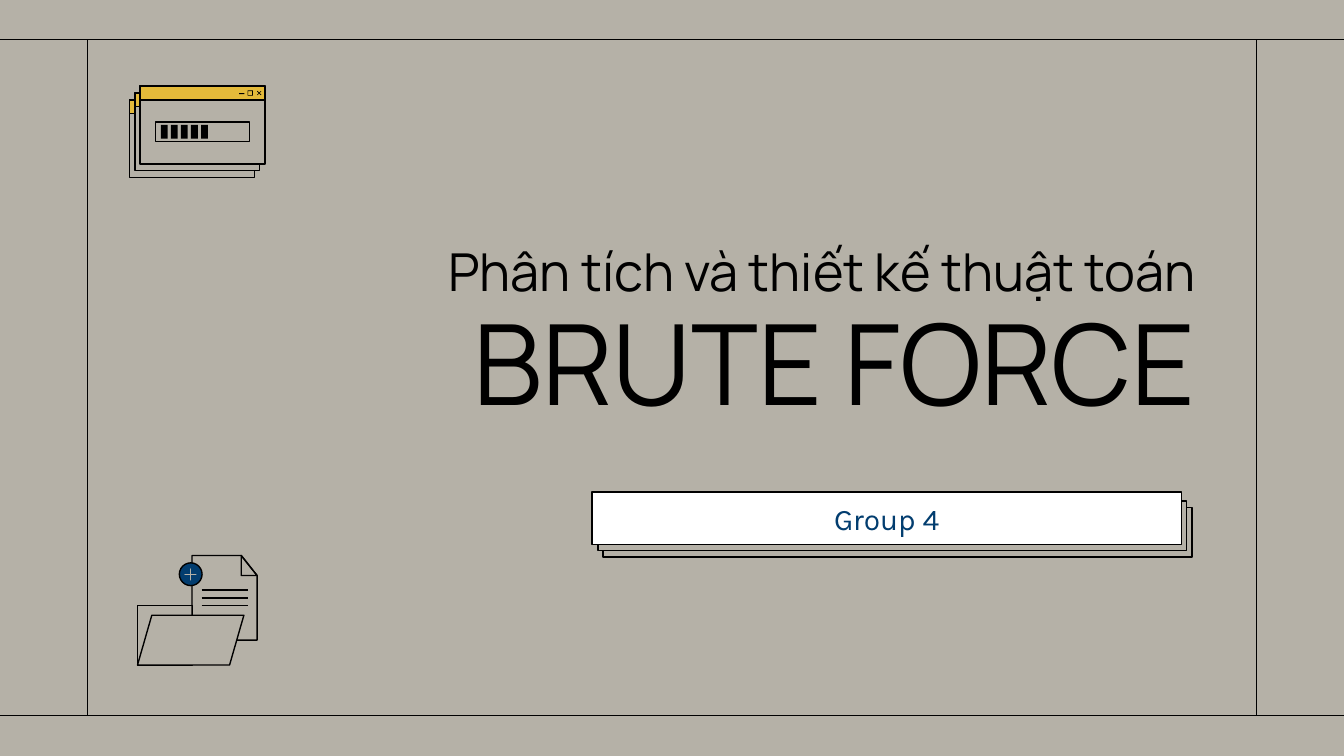
from dataclasses import dataclass

from lxml import etree
from pptx import Presentation
from pptx.dml.color import RGBColor
from pptx.enum import shapes, text
from pptx.oxml import ns
from pptx.util import Cm, Pt


@dataclass(frozen=True)
class Theme:
    paper: str = "B5B1A7"
    ink: str = "000000"
    white: str = "FFFFFF"
    navy: str = "023D6F"
    gold: str = "E4BA3A"
    display: str = "Manrope"
    body: str = "Karla"
    topic_size: int = 28
    title_size: int = 60
    team_size: int = 16
    stroke: float = 0.75


theme = Theme()
preset = shapes.MSO_SHAPE
align = text.PP_ALIGN

WIDTH, HEIGHT = 25.4, 14.29
TOPIC = ("Phân tích và thiết kế thuật toán", (4.31, 3.7, 18.53, 2.84))
TITLE = ("BRUTE FORCE", (3.94, 5.64, 18.9, 2.36))
TEAM = ("Group 4", (11.19, 9.3, 11.14, 0.99))
FRAME_X, FRAME_Y = (1.65, 23.75), (0.75, 13.53)
PLATES = [((11.4, 9.59, 11.13, 0.94), None), ((11.3, 9.47, 11.13, 0.94), theme.paper)]

FOLDER_BACK = (2.6, 11.45, 1.04, 1.12)
PAGE = [(3.63, 10.5), (3.63, 12.1), (4.86, 12.1), (4.86, 10.88), (4.56, 10.5)]
PAGE_CORNER = [(4.56, 10.5), (4.56, 10.88), (4.86, 10.88)]
FOLDER_FRONT = [(2.87, 11.63), (2.6, 12.57), (4.34, 12.57), (4.61, 11.63)]
PAGE_LINES = [11.15, 11.3, 11.45]
BADGE, PLUS = (3.39, 10.64, 0.43, 0.43), (3.46, 10.72, 0.28, 0.28)

WINDOW_COUNT, WINDOW_START, WINDOW_STEP = 3, (2.45, 1.89), (0.1, -0.13)
WINDOW_SIZE, BAR_HEIGHT = (2.36, 1.47), 0.26
CROSS = [(0, .1), (.1, 0), (.5, .4), (.9, 0), (1, .1), (.6, .5),
         (1, .9), (.9, 1), (.5, .6), (.1, 1), (0, .9), (.4, .5)]
CROSS_SIZE = 0.08
PROGRESS = (2.94, 2.31, 1.78, 0.37)
BLOCK_COUNT, BLOCK_PITCH, BLOCK = 5, 0.19, (3.04, 2.36, 0.13, 0.26)


def style(item, fill, line):
    item.shadow.inherit = False
    if fill:
        item.fill.solid()
        item.fill.fore_color.rgb = RGBColor.from_string(fill)
    else:
        item.fill.background()
    if line:
        item.line.color.rgb = RGBColor.from_string(line)
        item.line.width = Pt(theme.stroke)
    else:
        item.line.fill.background()
    return item


def draw(canvas, box, kind=preset.RECTANGLE, fill=None, line=theme.ink):
    return style(canvas.add_shape(kind, *map(Cm, box)), fill, line)


def outline(canvas, points, fill=None, line=theme.ink):
    corners = [(Cm(x), Cm(y)) for x, y in points]
    builder = canvas.build_freeform(*corners[0])
    builder.add_line_segments(corners[1:], close=True)
    return style(builder.convert_to_shape(), fill, line)


def rule(canvas, *ends):
    stroke = canvas.add_connector(shapes.MSO_CONNECTOR.STRAIGHT, *map(Cm, ends))
    stroke.line.color.rgb = RGBColor.from_string(theme.ink)
    stroke.line.width = Pt(theme.stroke)
    etree.SubElement(stroke._element.spPr, ns.qn("a:effectLst"))


def write(holder, words, font=theme.display, size=12, color=theme.ink, alignment=align.RIGHT):
    frame = holder.text_frame
    frame.word_wrap = True
    frame.vertical_anchor = text.MSO_ANCHOR.MIDDLE
    frame.margin_left = frame.margin_right = Cm(0.25)
    frame.margin_top = frame.margin_bottom = Cm(0.25)
    paragraph = frame.paragraphs[0]
    paragraph.alignment = alignment
    run = paragraph.add_run()
    run.text = words
    run.font.name, run.font.size = font, Pt(size)
    run.font.color.rgb = RGBColor.from_string(color)


def add_folder(canvas):
    draw(canvas, FOLDER_BACK, fill=theme.paper)
    outline(canvas, PAGE)
    outline(canvas, PAGE_CORNER)
    outline(canvas, FOLDER_FRONT, fill=theme.paper)
    for y in PAGE_LINES:
        rule(canvas, 3.81, y, 4.68, y)
    draw(canvas, BADGE, preset.OVAL, fill=theme.navy)
    plus = draw(canvas, PLUS, preset.MATH_PLUS, fill=theme.paper, line=theme.paper)
    plus.adjustments[0] = 0


def add_controls(canvas, x, y):
    cross = [(x + 2.21 + CROSS_SIZE * a, y + 0.09 + CROSS_SIZE * b) for a, b in CROSS]
    outline(canvas, cross, fill=theme.ink, line=None)
    draw(canvas, (x + 2.03, y + 0.08, 0.1, 0.1), preset.FRAME, fill=theme.ink, line=None)
    draw(canvas, (x + 1.87, y + 0.13, 0.1, 0.02), fill=theme.ink, line=None)


def add_windows(canvas):
    width, height = WINDOW_SIZE
    for i in range(WINDOW_COUNT):
        x, y = (start + i * step for start, step in zip(WINDOW_START, WINDOW_STEP))
        draw(canvas, (x, y, width, height), fill=theme.paper)
        draw(canvas, (x, y, width, BAR_HEIGHT), fill=theme.gold)
    add_controls(canvas, x, y)
    draw(canvas, PROGRESS)
    left, *rest = BLOCK
    for i in range(BLOCK_COUNT):
        draw(canvas, (left + i * BLOCK_PITCH, *rest), fill=theme.ink, line=None)


def main():
    """Build the title slide and save it."""
    deck = Presentation()
    deck.slide_width, deck.slide_height = Cm(WIDTH), Cm(HEIGHT)
    slide = deck.slides.add_slide(deck.slide_layouts[6])
    slide.background.fill.solid()
    slide.background.fill.fore_color.rgb = RGBColor.from_string(theme.paper)
    canvas = slide.shapes

    for y in FRAME_Y:
        rule(canvas, 0, y, WIDTH, y)
    for x in FRAME_X:
        rule(canvas, x, FRAME_Y[0], x, FRAME_Y[1])
    for box, fill in PLATES:
        draw(canvas, box, fill=fill)

    for (words, box), size in ((TOPIC, theme.topic_size), (TITLE, theme.title_size)):
        write(canvas.add_textbox(*map(Cm, box)), words, size=size)
    team, team_box = TEAM
    write(draw(canvas, team_box, fill=theme.white), team, font=theme.body,
          size=theme.team_size, color=theme.navy, alignment=align.CENTER)

    add_folder(canvas.add_group_shape().shapes)
    add_windows(canvas.add_group_shape().shapes)
    deck.save("out.pptx")


if __name__ == "__main__":
    main()
